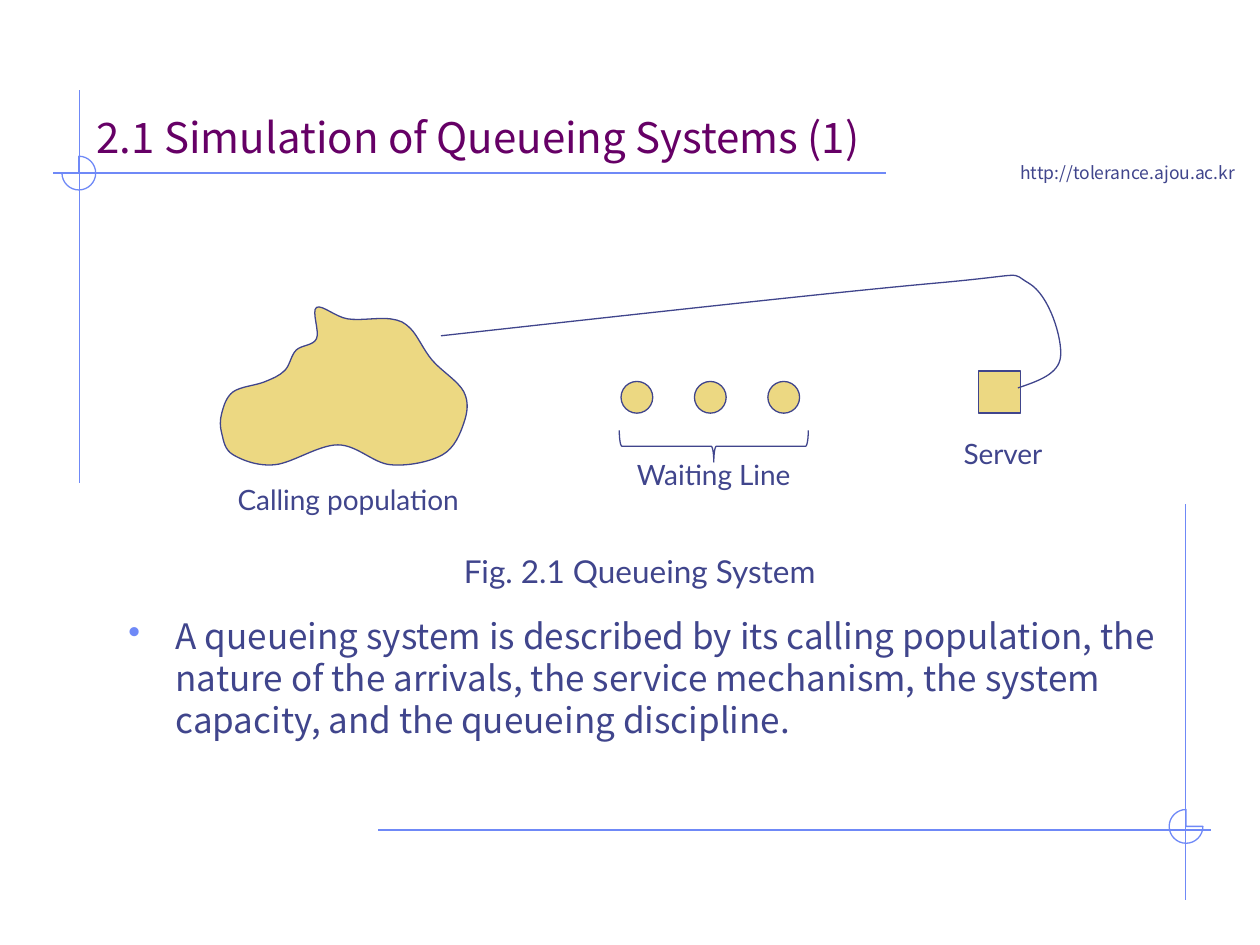
import math

from lxml import etree
from pptx import Presentation
from pptx import util as u
from pptx.dml.color import RGBColor
from pptx.enum import shapes, text
from pptx.oxml.ns import qn

FRAME, INK, SAND, PLUM = "6F89F7", "40458C", "ECD882", "660066"
LATO, NOTO = "Lato", "Noto Sans CJK KR"
POPULATION = [
    (6.38, 6.83), (5.97, 7.06), (5.74, 7.47), (5.33, 7.7), (4.7, 7.9),
    (4.47, 8.33), (4.47, 8.74), (4.7, 9.17), (5.54, 9.37), (6.81, 8.97),
    (7.87, 9.37), (8.92, 9.17), (9.35, 8.53), (9.35, 7.9), (8.71, 7.26),
    (8.28, 6.63), (7.87, 6.43), (7.01, 6.43), (6.38, 6.2),
]
RETURN_PATH = [(20.52, 7.82), (21.38, 7.19), (20.74, 5.71), (18.84, 5.71), (8.89, 6.77)]


def rgb(color):
    """Turn a hex string into a colour."""
    return RGBColor.from_string(color)


def style(sp, line, fill=None):
    """Give a shape a thin outline, an optional fill and no shadow."""
    sp.shadow.inherit = False
    sp.line.color.rgb = rgb(line)
    sp.line.width = u.Pt(0.75)
    if fill:
        sp.fill.solid()
        sp.fill.fore_color.rgb = rgb(fill)
    else:
        sp.fill.background()


def add_shape(s, kind, x, y, w, h, fill=None):
    """Add an outlined preset shape."""
    sp = s.shapes.add_shape(kind, u.Cm(x), u.Cm(y), u.Cm(w), u.Cm(h))
    style(sp, INK, fill)
    return sp


def add_line(s, x1, y1, x2, y2):
    """Add a straight frame line."""
    ln = s.shapes.add_connector(
        shapes.MSO_CONNECTOR.STRAIGHT, u.Cm(x1), u.Cm(y1), u.Cm(x2), u.Cm(y2))
    ln.line.color.rgb = rgb(FRAME)
    ln.line.width = u.Pt(0.75)
    etree.SubElement(ln._element.spPr, qn("a:effectLst"))


def add_curve(s, points, curves, line, fill=None, close=True):
    """Draw a start point, cubic curves of three points each, then straight sides."""
    pts = [(u.Cm(x), u.Cm(y)) for x, y in points]
    builder = s.shapes.build_freeform(*pts[0])
    builder.add_line_segments(pts[1:], close=close)
    sp = builder.convert_to_shape()
    sides = list(sp._element.iter(qn("a:lnTo")))
    for i in range(0, 3 * curves, 3):
        curve = etree.Element(qn("a:cubicBezTo"))
        sides[i].addprevious(curve)
        for side in sides[i:i + 3]:
            curve.append(side[0])
            side.getparent().remove(side)
    style(sp, line, fill)


def add_three_quarter(s, cx, cy, start, radius=0.34):
    """Draw a circle that lacks the quarter before the start angle."""
    points = []
    for i in range(4):
        a = math.radians(start + 90 * i)
        x, y = radius * math.cos(a), radius * math.sin(a)
        points += [(cx + x + k * y, cy + y - k * x) for k in (0.55, 0, -0.55)]
    add_curve(s, points[1:-1] + [(cx, cy)], 3, FRAME)


def midpoint(a, b):
    """Return the point halfway between two points."""
    return (a[0] + b[0]) / 2, (a[1] + b[1]) / 2


def add_smooth(s, knots, fill=None, close=False):
    """Draw a smooth curve through the knots."""
    n = len(knots)
    curves = n if close else n - 1

    def handle(i, sign):
        before, here, after = knots[i - 1], knots[i % n], knots[(i + 1) % n]
        return tuple(h + sign * (a - b) / 6 for b, h, a in zip(before, here, after))

    points = [knots[0]]
    for i in range(curves):
        j = (i + 1) % n
        c1, c2 = handle(i, 1), handle(j, -1)
        if not close and i == 0:
            c1 = midpoint(knots[i], c2)
        if not close and j == n - 1:
            c2 = midpoint(c1, knots[j])
        points += [c1, c2, knots[j]]
    add_curve(s, points, curves, INK, fill, close)


def add_bullet(p, indent):
    """Give a paragraph a hanging coloured bullet."""
    pPr = p._p.get_or_add_pPr()
    pPr.set("marL", str(u.Cm(indent)))
    pPr.set("indent", str(-u.Cm(indent)))
    clr = etree.SubElement(pPr, qn("a:buClr"))
    etree.SubElement(clr, qn("a:srgbClr"), val=FRAME)
    etree.SubElement(pPr, qn("a:buChar"), char="•")


def add_text(s, words, x, y, w, h, size, font=LATO, color=INK, center=False, wrap=True):
    """Add a text box and return it."""
    sp = s.shapes.add_textbox(u.Cm(x), u.Cm(y), u.Cm(w), u.Cm(h))
    tf = sp.text_frame
    tf.word_wrap = wrap
    tf.text = words
    p = tf.paragraphs[0]
    if center:
        p.alignment = text.PP_ALIGN.CENTER
    if font == NOTO:
        p.line_spacing = u.Pt(1.2 * size)
    r = p.runs[0]
    r.font.name, r.font.size = font, u.Pt(size)
    r.font.color.rgb = rgb(color)
    return sp


def add_frame(s):
    """Draw the crossing lines and corner circles."""
    add_line(s, 7.62, 16.73, 24.41, 16.73)
    add_line(s, 23.9, 10.16, 23.9, 18.15)
    add_three_quarter(s, 23.91, 16.66, 0)
    add_line(s, 1.6, 1.82, 1.6, 9.73)
    add_line(s, 17.86, 3.49, 1.07, 3.49)
    add_three_quarter(s, 1.59, 3.49, -90)


def add_diagram(s):
    """Draw the population, the waiting line and the server."""
    add_smooth(s, POPULATION, SAND, close=True)
    for i in range(3):
        add_shape(s, shapes.MSO_SHAPE.OVAL, 12.52 + 1.48 * i, 7.69, 0.64, 0.64, SAND)
    add_shape(s, shapes.MSO_SHAPE.RECTANGLE, 19.72, 7.48, 0.85, 0.85, SAND)
    brace = add_shape(s, shapes.MSO_SHAPE.LEFT_BRACE, 14.07, 7.09, 0.64, 3.81)
    brace.rotation = 270
    add_smooth(s, RETURN_PATH)
    for words, x, y, w in (("Calling population", 4.48, 9.6, 5.08),
                           ("Waiting Line", 11.85, 9.09, 5.08),
                           ("Server", 19.05, 8.68, 2.34)):
        add_text(s, words, x, y, w, 0.94, 16, center=True)
    add_text(s, "Fig. 2.1 Queueing System", 9.1, 11, 8.05, 1.02, 18)


def main():
    """Build the slide and save it."""
    prs = Presentation()
    prs.slide_width, prs.slide_height = u.Cm(25.4), u.Cm(19.05)
    s = prs.slides.add_slide(prs.slide_layouts[6])
    add_text(s, "http://tolerance.ajou.ac.kr", 20.32, 3.14, 4.83, 0.69, 10, NOTO, wrap=False)
    add_frame(s)
    title = add_text(s, "2.1 Simulation of Queueing Systems (1)",
                     1.7, 1.68, 19.05, 1.7, 24, NOTO, PLUM)
    title.text_frame.vertical_anchor = text.MSO_ANCHOR.BOTTOM
    body = add_text(
        s, "A queueing system is described by its calling population, the nature of the "
        "arrivals, the service mechanism, the system capacity, and the queueing discipline.",
        2.34, 12.27, 21.59, 4.01, 20, NOTO)
    add_bullet(body.text_frame.paragraphs[0], 0.95)
    add_diagram(s)
    prs.save("out.pptx")


if __name__ == "__main__":
    main()
